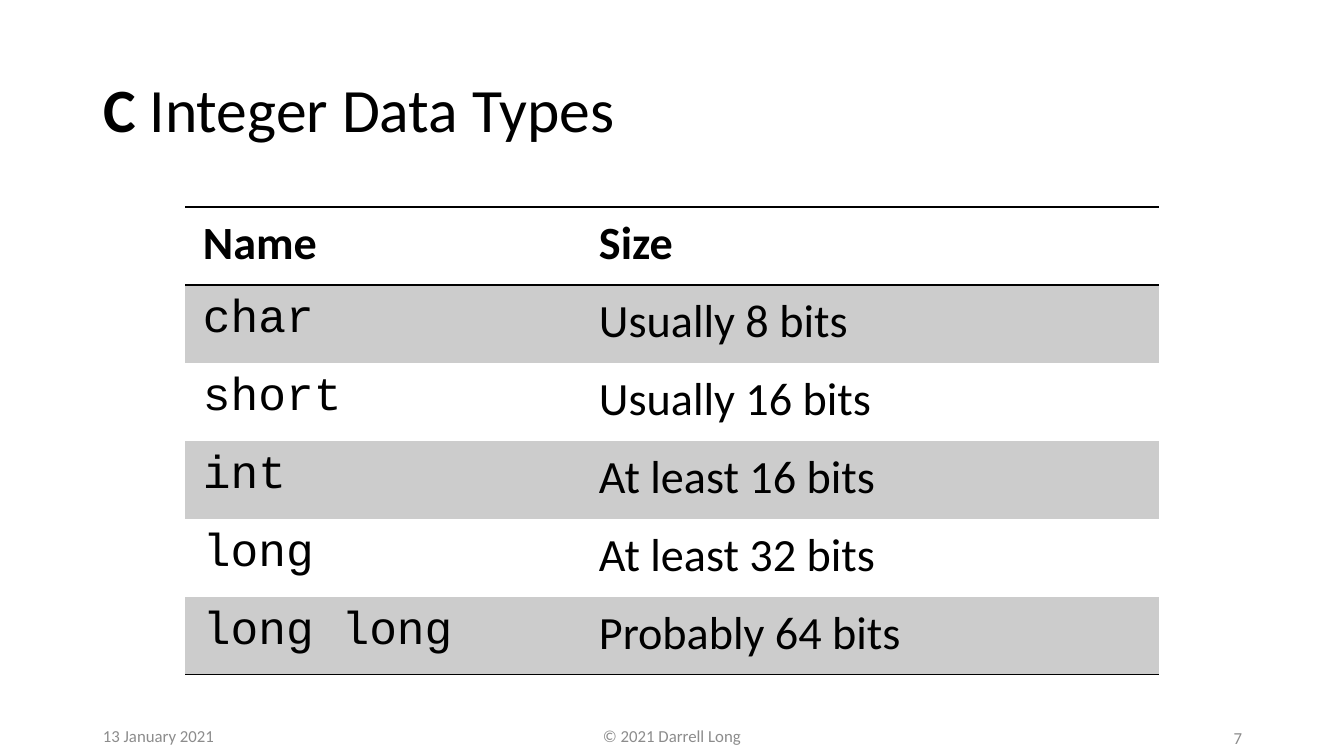
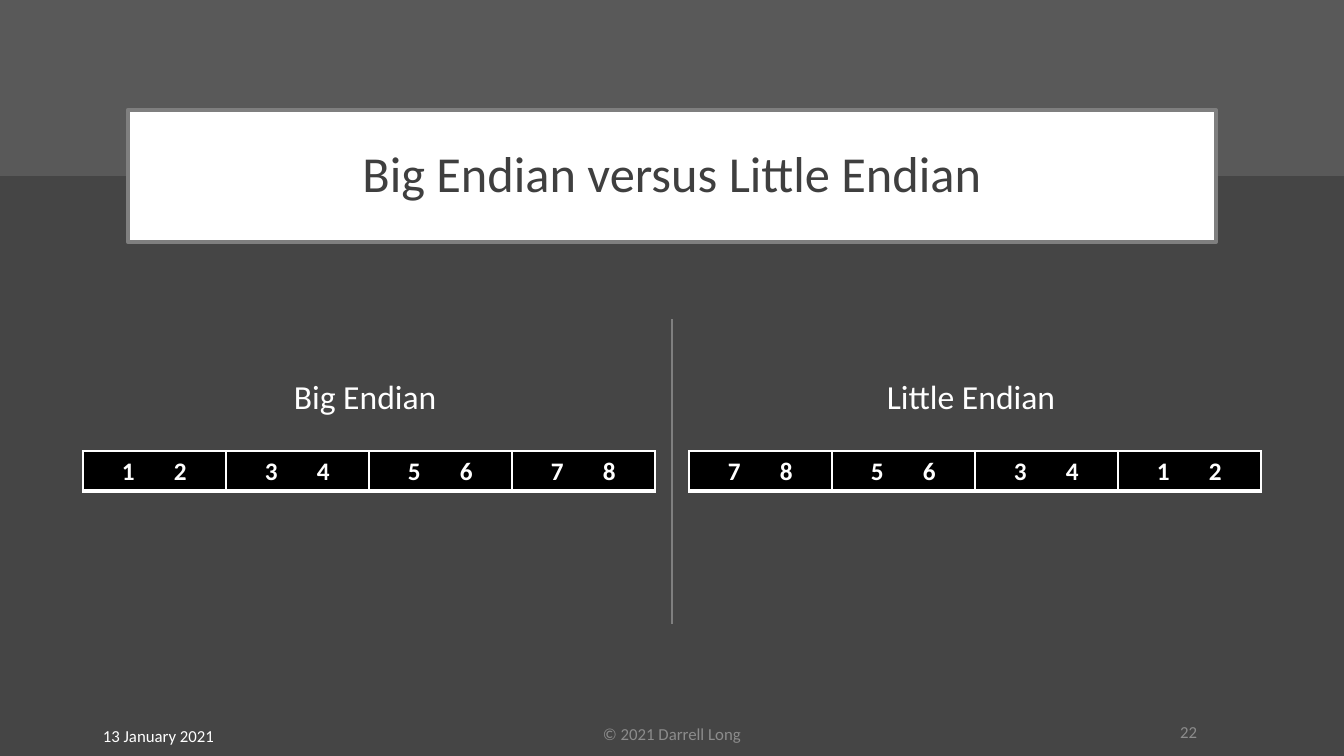
"""Build two slides on C integer types and byte order."""
import lxml.etree
import pptx
import pptx.dml.color
import pptx.enum.shapes
import pptx.enum.text
import pptx.oxml
import pptx.oxml.ns
import pptx.util

RGBColor = pptx.dml.color.RGBColor
PP_ALIGN = pptx.enum.text.PP_ALIGN
MIDDLE = pptx.enum.text.MSO_ANCHOR.MIDDLE
BLACK = RGBColor(0x00, 0x00, 0x00)
WHITE = RGBColor(0xFF, 0xFF, 0xFF)
STRIPE = RGBColor(0xCC, 0xCC, 0xCC)
FOOTER_GREY = RGBColor(0x8C, 0x8C, 0x8C)
RULE_GREY = RGBColor(0x7F, 0x7F, 0x7F)
TITLE_GREY = RGBColor(0x3F, 0x3F, 0x3F)
DARK = RGBColor(0x45, 0x45, 0x45)
BAND_GREY = RGBColor(0x59, 0x59, 0x59)
PX = 914400 / 100.8
BODY_FONT = "Calibri"
CODE_FONT = "Courier New"


def write_text(paragraph, text, size=12, color=BLACK, bold=False, font=BODY_FONT, align=PP_ALIGN.LEFT):
    paragraph.alignment = align
    run = paragraph.add_run()
    run.text = text
    run.font.name = font
    run.font.size = pptx.util.Pt(size)
    run.font.bold = bold
    run.font.color.rgb = color


def set_borders(cell, color, **widths):
    properties = cell._tc.get_or_add_tcPr()
    for side in "LRTB":
        line = lxml.etree.SubElement(properties, pptx.oxml.ns.qn(f"a:ln{side}"))
        width = widths.get(side, 0)
        line.set("w", str(pptx.util.Pt(width)))
        if width:
            fill = lxml.etree.SubElement(line, pptx.oxml.ns.qn("a:solidFill"))
            lxml.etree.SubElement(fill, pptx.oxml.ns.qn("a:srgbClr")).set("val", str(color))
        else:
            lxml.etree.SubElement(line, pptx.oxml.ns.qn("a:noFill"))


presentation = pptx.Presentation()
presentation.slide_width = round(1344 * PX)
presentation.slide_height = round(756 * PX)

slide_styles = [
    dict(background=WHITE, title_box=(93, 40, 1159, 146), title_size=44, title_color=BLACK,
         title_align=PP_ALIGN.LEFT, title_runs=[("C", True), (" Integer Data Types", False)],
         date_color=FOOTER_GREY, footer_top=716, number="7", number_right=1252, number_top=718),
    dict(background=DARK, title_box=(128, 110, 1088, 132), title_size=36, title_color=TITLE_GREY,
         title_align=PP_ALIGN.CENTER, title_runs=[("Big Endian versus Little Endian", False)],
         date_color=WHITE, footer_top=714, number="22", number_right=1207, number_top=712),
]
for style in slide_styles:
    slide = presentation.slides.add_slide(presentation.slide_layouts[5])
    slide.background.fill.solid()
    slide.background.fill.fore_color.rgb = style["background"]

    title = slide.shapes.title
    title.left, title.top, title.width, title.height = [round(value * PX) for value in style["title_box"]]
    title.text_frame.auto_size = pptx.enum.text.MSO_AUTO_SIZE.NONE
    title.text_frame.vertical_anchor = MIDDLE
    paragraph = title.text_frame.paragraphs[0]
    paragraph.line_spacing = 0.9
    for text, bold in style["title_runs"]:
        write_text(paragraph, text, size=style["title_size"], color=style["title_color"],
                   bold=bold, align=style["title_align"])

    footers = [
        ("13 January 2021", 93, 716, 302, style["date_color"], PP_ALIGN.LEFT),
        ("© 2021 Darrell Long", 445, style["footer_top"], 454, FOOTER_GREY, PP_ALIGN.CENTER),
        (style["number"], style["number_right"] - 302, style["number_top"], 302, FOOTER_GREY, PP_ALIGN.RIGHT),
    ]
    for text, left, top, width, color, align in footers:
        footer = slide.shapes.add_textbox(round(left * PX), round(top * PX), round(width * PX), round(40 * PX))
        footer.text_frame.word_wrap = True
        footer.text_frame.vertical_anchor = MIDDLE
        write_text(footer.text_frame.paragraphs[0], text, color=color, align=align)

types_slide, endian_slide = presentation.slides

integer_types = [
    ("Name", "Size"),
    ("char", "Usually 8 bits"),
    ("short", "Usually 16 bits"),
    ("int", "At least 16 bits"),
    ("long", "At least 32 bits"),
    ("long long", "Probably 64 bits"),
]
types_table = types_slide.shapes.add_table(
    len(integer_types), 2, round(185 * PX), round(207 * PX), round(974 * PX), round(468 * PX)).table
types_table.horz_banding = False
for column, width in zip(types_table.columns, (396, 578)):
    column.width = round(width * PX)
for row_index, texts in enumerate(integer_types):
    types_table.rows[row_index].height = round(78 * PX)
    is_header = row_index == 0
    is_last = row_index == len(integer_types) - 1
    for column_index, text in enumerate(texts):
        cell = types_table.cell(row_index, column_index)
        cell.margin_left = cell.margin_right = round(18 * PX)
        cell.margin_top = cell.margin_bottom = round(9 * PX)
        set_borders(cell, BLACK, T=int(row_index < 2), B=int(is_header or is_last))
        if row_index % 2:
            cell.fill.solid()
            cell.fill.fore_color.rgb = STRIPE
        else:
            cell.fill.background()
        is_code = column_index == 0 and not is_header
        write_text(cell.text_frame.paragraphs[0], text, size=33, bold=is_header,
                   font=CODE_FONT if is_code else BODY_FONT)

band = endian_slide.shapes.add_shape(
    pptx.enum.shapes.MSO_SHAPE.RECTANGLE, 0, 0, presentation.slide_width, round(176 * PX))
band.shadow.inherit = False
band.fill.solid()
band.fill.fore_color.rgb = BAND_GREY
band.line.fill.background()
title = endian_slide.shapes.title
title.element.addprevious(band.element)
title.fill.solid()
title.fill.fore_color.rgb = WHITE
title.line.color.rgb = RULE_GREY
title.line.width = pptx.util.Pt(3)

divider = endian_slide.shapes.add_connector(
    pptx.enum.shapes.MSO_CONNECTOR.STRAIGHT, round(672 * PX), round(319 * PX), round(672 * PX), round(624 * PX))
divider.line.color.rgb = RULE_GREY
divider.line.width = pptx.util.Pt(1.5)
lxml.etree.SubElement(divider.element.spPr, pptx.oxml.ns.qn("a:effectLst"))

byte_pairs = ["12", "34", "56", "78"]
byte_orders = [
    ("Big Endian", 284, 168, 83, byte_pairs),
    ("Little Endian", 877, 197, 689, byte_pairs[::-1]),
]
for name, label_left, label_width, table_left, pairs in byte_orders:
    label = endian_slide.shapes.add_textbox(
        round(label_left * PX), round(371 * PX), round(label_width * PX), round(50 * PX))
    write_text(label.text_frame.paragraphs[0], name, size=24, color=WHITE)

    byte_table = endian_slide.shapes.add_table(
        1, len(pairs), round(table_left * PX), round(451 * PX), round(572 * PX), round(40 * PX)).table
    for column_index, (high, low) in enumerate(pairs):
        byte_table.columns[column_index].width = round(143 * PX)
        cell = byte_table.cell(0, column_index)
        cell.margin_left = round(39 * PX)
        set_borders(cell, WHITE, L=1, R=1, T=1, B=3)
        cell.fill.solid()
        cell.fill.fore_color.rgb = BLACK
        paragraph = cell.text_frame.paragraphs[0]
        tab_list = lxml.etree.SubElement(paragraph._p.get_or_add_pPr(), pptx.oxml.ns.qn("a:tabLst"))
        tab = lxml.etree.SubElement(tab_list, pptx.oxml.ns.qn("a:tab"))
        tab.set("pos", str(round(52 * PX)))
        tab.set("algn", "l")
        write_text(paragraph, f"{high}\t{low}", size=18, color=WHITE, bold=True)

presentation.save("out.pptx")
